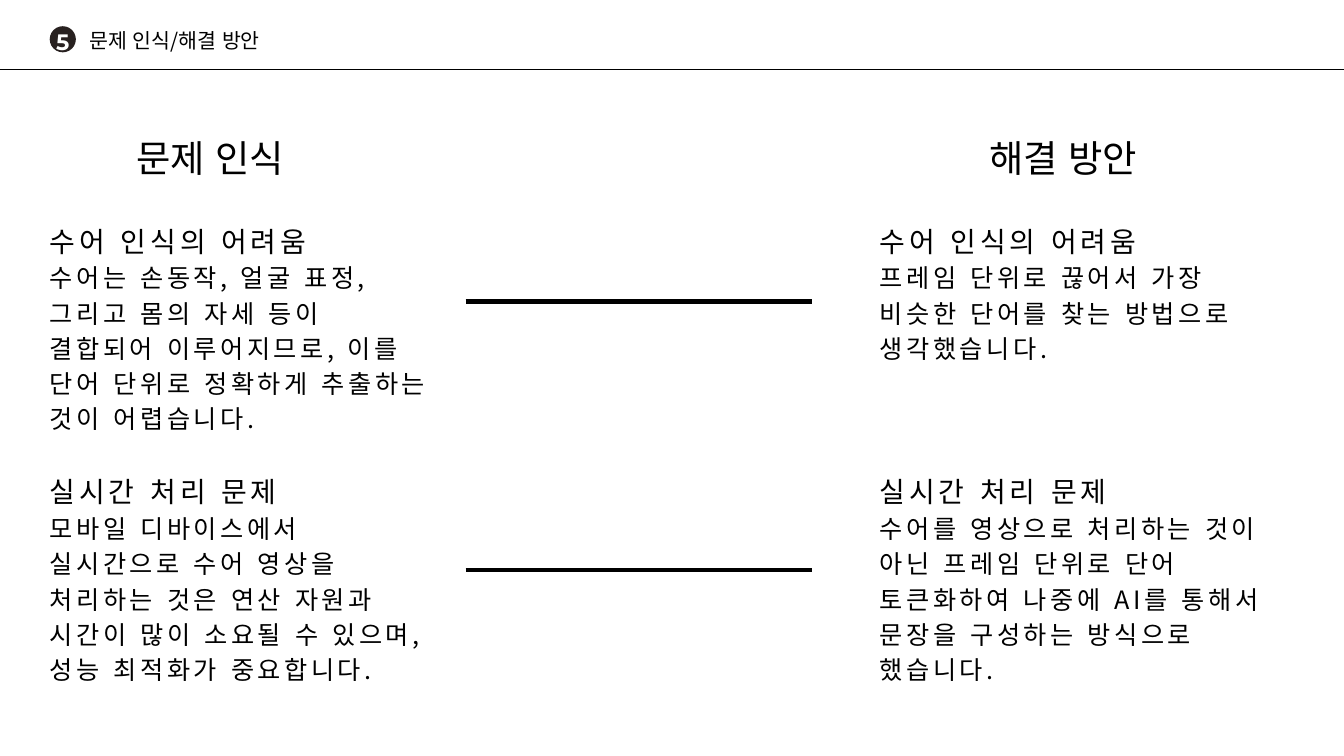
"""Build the slide that pairs recognised problems with their solutions."""
from lxml.etree import SubElement
from pptx import Presentation
from pptx.dml.color import RGBColor
from pptx.enum.lang import MSO_LANGUAGE_ID
from pptx.enum.shapes import MSO_CONNECTOR, MSO_SHAPE
from pptx.enum.text import MSO_ANCHOR, MSO_AUTO_SIZE, PP_ALIGN
from pptx.oxml.ns import qn
from pptx.util import Pt

COLUMNS = [
    (53.3, 146.2, "문제 인식", 37.8, [
        ("수어 인식의 어려움",
         "수어는 손동작, 얼굴 표정, 그리고 몸의 자세 등이 결합되어 이루어지므로, "
         "이를 단어 단위로 정확하게 추출하는 것이 어렵습니다."),
        ("실시간 처리 문제",
         "모바일 디바이스에서 실시간으로 수어 영상을 처리하는 것은 연산 자원과 "
         "시간이 많이 소요될 수 있으며, 성능 최적화가 중요합니다."),
    ]),
    (942.5, 1059.8, "해결 방안", 113.4, [
        ("수어 인식의 어려움",
         "프레임 단위로 끊어서 가장 비슷한 단어를 찾는 방법으로 생각했습니다."),
        ("실시간 처리 문제",
         "수어를 영상으로 처리하는 것이 아닌 프레임 단위로 단어 토큰화하여 나중에 "
         "AI를 통해서 문장을 구성하는 방식으로 했습니다."),
    ]),
]


def color(value):
    return RGBColor.from_string(value)


class SlideWriter:
    font = "Noto Sans CJK KR"
    number_font = "Montserrat"
    ink = "000000"
    badge_fill = "282120"
    paper = "FFFFFF"
    leading = 1.4

    def __init__(self, page):
        self.page = page

    def prepare(self, box, anchor=MSO_ANCHOR.TOP, wrap=True):
        frame = box.text_frame
        frame.margin_left = frame.margin_top = 0
        frame.margin_right = frame.margin_bottom = 0
        frame.auto_size = MSO_AUTO_SIZE.NONE
        frame.vertical_anchor = anchor
        frame.word_wrap = wrap
        return frame

    def style(self, para, size, spacing=0, before=0):
        para.alignment = PP_ALIGN.LEFT
        para.line_spacing = Pt(size * self.leading)
        para.space_before = Pt(before)
        properties = para._p.get_or_add_pPr()
        properties.set("marL", "0")
        properties.set("indent", "0")
        SubElement(properties, qn("a:buNone"))
        for span in para.runs:
            span.font.size = Pt(size)
            span.font.bold = False
            span.font.name = self.font
            span.font.color.rgb = color(self.ink)
            span.font.language_id = MSO_LANGUAGE_ID.KOREAN
            run_properties = span._r.get_or_add_rPr()
            run_properties.set("spc", str(round(spacing * 100)))
            SubElement(run_properties, qn("a:ea"), typeface=self.font)

    def place(self, box, left, top, width, height):
        box.left, box.top = Pt(left), Pt(top)
        box.width, box.height = Pt(width), Pt(height)

    def heading(self, box, text, size, *bounds):
        self.place(box, *bounds)
        frame = self.prepare(box)
        frame.text = text
        self.style(frame.paragraphs[0], size)

    def topics(self, box, topics, gap, *bounds):
        self.place(box, *bounds)
        frame = self.prepare(box)
        frame.text = "\n".join(text for topic in topics for text in topic)
        for index, para in enumerate(frame.paragraphs):
            if index % 2:
                self.style(para, 27, 3.8)
            else:
                self.style(para, 30, 4.2, gap if index else 0)

    def badge(self, text, left, top, side):
        box = self.page.shapes.add_shape(
            MSO_SHAPE.OVAL, Pt(left), Pt(top), Pt(side), Pt(side))
        box.shadow.inherit = False
        box.fill.solid()
        box.fill.fore_color.rgb = color(self.badge_fill)
        box.line.fill.background()
        frame = self.prepare(box, MSO_ANCHOR.MIDDLE, wrap=False)
        frame.text = text
        para = frame.paragraphs[0]
        para.alignment = PP_ALIGN.CENTER
        para.line_spacing = Pt(33.5)
        font = para.runs[0].font
        font.name, font.size, font.bold = self.number_font, Pt(23.9), True
        font.color.rgb = color(self.paper)

    def rule(self, left, right, y, weight):
        line = self.page.shapes.add_connector(
            MSO_CONNECTOR.STRAIGHT, Pt(left), Pt(y), Pt(right), Pt(y))
        line.line.color.rgb = color(self.ink)
        line.line.width = Pt(weight)
        SubElement(line._element.spPr, qn("a:effectLst"))


def main():
    deck = Presentation()
    deck.slide_width, deck.slide_height = Pt(1440), Pt(810)
    page = deck.slides.add_slide(deck.slide_layouts.get_by_name("Comparison"))
    writer = SlideWriter(page)
    title, *boxes = page.placeholders

    writer.badge("5", 53.3, 28.1, 28)
    writer.heading(title, "문제 인식/해결 방안", 22, 95.8, 25.9, 458.6, 31)
    writer.rule(0, 1440, 74.2, 0.75)

    for column, head, body in zip(COLUMNS, boxes[::2], boxes[1::2]):
        left, head_left, name, gap, topics = column
        writer.heading(head, name, 40, head_left, 136.8, 182, 56.9)
        writer.topics(body, topics, gap, left, 234, 416.9, 501)

    for y in (323.3, 610.6):
        writer.rule(499, 870.5, y, 5)

    deck.save("out.pptx")


if __name__ == "__main__":
    main()
